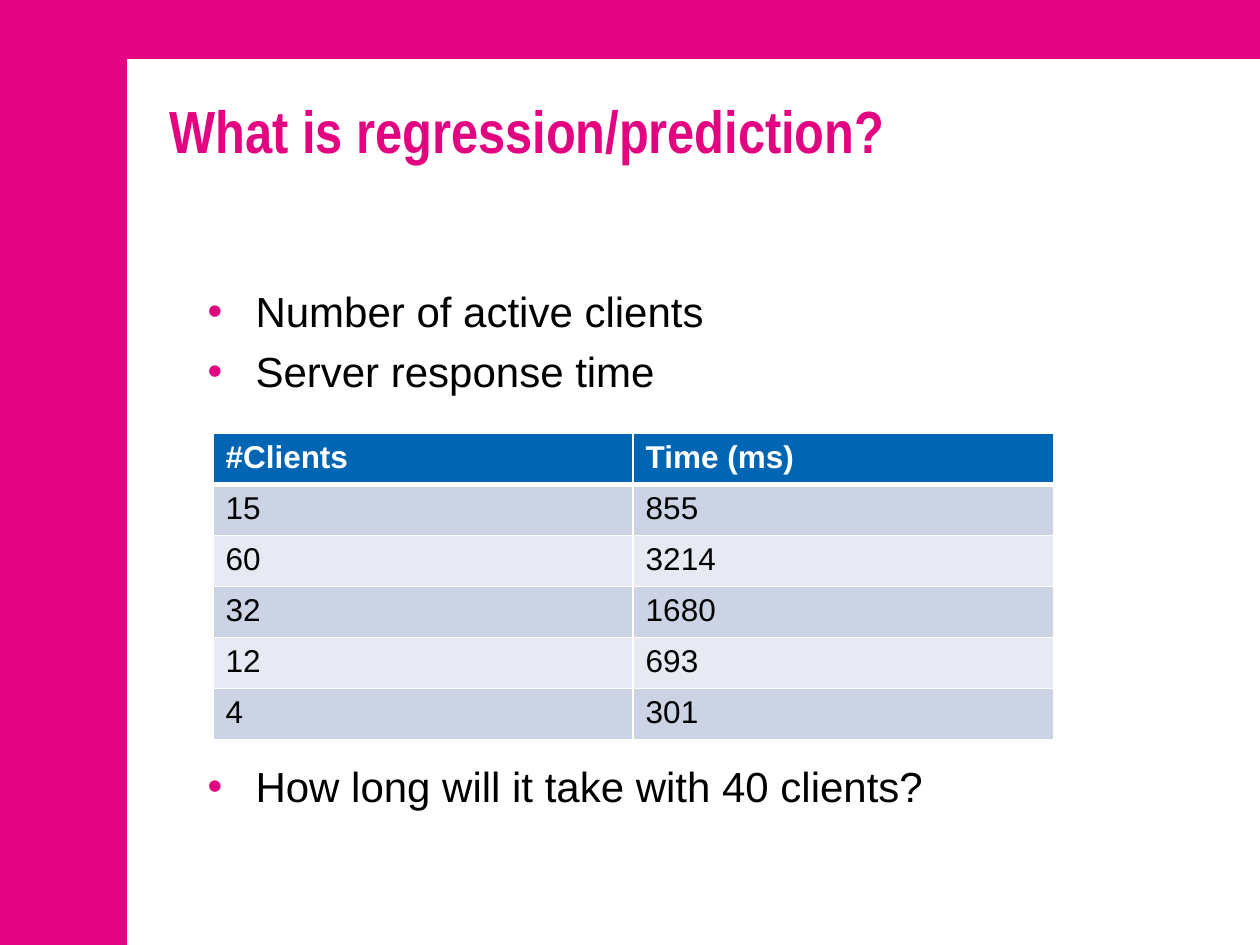
from dataclasses import dataclass

from lxml import etree
from pptx import Presentation
from pptx.dml.color import RGBColor
from pptx.enum.shapes import MSO_SHAPE
from pptx.oxml.ns import qn
from pptx.util import Inches, Pt

RECTANGLE = MSO_SHAPE.RECTANGLE


@dataclass(frozen=True)
class Theme:
    pink: str = "E3027F"
    white: str = "FFFFFF"
    black: str = "000000"
    header: str = "0066B3"
    bands: tuple = ("CCD3E5", "E7EAF2")
    title_font: str = "Arial Narrow"
    body_font: str = "Arial"
    title_size: int = 34
    body_size: int = 24
    table_size: int = 18


THEME = Theme()


def write(paragraph, text, *, size, font=THEME.body_font, color=THEME.black,
          bold=False, before=0, bullet=None):
    """Fill a paragraph; bullet is the colour of its bullet, if it has one."""
    paragraph.space_before = Pt(before)
    run = paragraph.add_run()
    run.text = text
    run.font.name = font
    run.font.size = Pt(size)
    run.font.bold = bold
    run.font.color.rgb = RGBColor.from_string(color)
    if bullet:
        props = paragraph._p.get_or_add_pPr()
        props.set("marL", str(Inches(0.38)))
        props.set("indent", str(-Inches(0.38)))
        bullet_color = etree.SubElement(props, qn("a:buClr"))
        etree.SubElement(bullet_color, qn("a:srgbClr"), val=bullet)
        etree.SubElement(props, qn("a:buFont"), typeface=THEME.body_font)
        etree.SubElement(props, qn("a:buChar"), char="•")


def set_borders(cell, bottom_width):
    """Draw white cell borders; they must precede the fill in the cell XML."""
    props = cell._tc.get_or_add_tcPr()
    widths = {"a:lnL": 1, "a:lnR": 1, "a:lnT": 1, "a:lnB": bottom_width}
    for side, width in widths.items():
        line = etree.SubElement(props, qn(side), w=str(Pt(width)))
        fill = etree.SubElement(line, qn("a:solidFill"))
        etree.SubElement(fill, qn("a:srgbClr"), val=THEME.white)


prs = Presentation()
prs.slide_width, prs.slide_height = Inches(10), Inches(7.5)
slide = prs.slides.add_slide(prs.slide_layouts[6])
slide.background.fill.solid()
slide.background.fill.fore_color.rgb = RGBColor.from_string(THEME.pink)

# White page, leaving a pink band at the top and left
page = slide.shapes.add_shape(
    RECTANGLE, Inches(1.01), Inches(0.47), Inches(8.99), Inches(7.03))
page.shadow.inherit = False
page.fill.solid()
page.fill.fore_color.rgb = RGBColor.from_string(THEME.white)
page.line.fill.background()

# Title
title = slide.shapes.add_textbox(
    Inches(1.25), Inches(0.7), Inches(8.44), Inches(1.34)).text_frame
title.word_wrap = True
write(title.paragraphs[0], "What is regression/prediction?",
      size=THEME.title_size, font=THEME.title_font, color=THEME.pink, bold=True)

# Bullets; the space before the last one makes room for the table
bullets = [
    ("Number of active clients", 5.5),
    ("Server response time", 5.5),
    ("How long will it take with 40 clients?", 208),
]
body = slide.shapes.add_textbox(
    Inches(1.55), Inches(2.22), Inches(8.14), Inches(4.45)).text_frame
body.word_wrap = True
for i, (text, before) in enumerate(bullets):
    paragraph = body.add_paragraph() if i else body.paragraphs[0]
    write(paragraph, text, size=THEME.body_size, before=before,
          bullet=THEME.pink)

# Measurements
measurements = [
    ("#Clients", "Time (ms)"),
    ("15", "855"),
    ("60", "3214"),
    ("32", "1680"),
    ("12", "693"),
    ("4", "301"),
]
table = slide.shapes.add_table(
    len(measurements), 2,
    Inches(1.69), Inches(3.44), Inches(6.67), Inches(2.43)).table
for r, values in enumerate(measurements):
    is_header = r == 0
    fill = THEME.header if is_header else THEME.bands[(r - 1) % 2]
    for c, value in enumerate(values):
        cell = table.cell(r, c)
        set_borders(cell, bottom_width=3 if is_header else 1)
        cell.fill.solid()
        cell.fill.fore_color.rgb = RGBColor.from_string(fill)
        write(cell.text_frame.paragraphs[0], value, size=THEME.table_size,
              color=THEME.white if is_header else THEME.black, bold=is_header)

prs.save("out.pptx")
